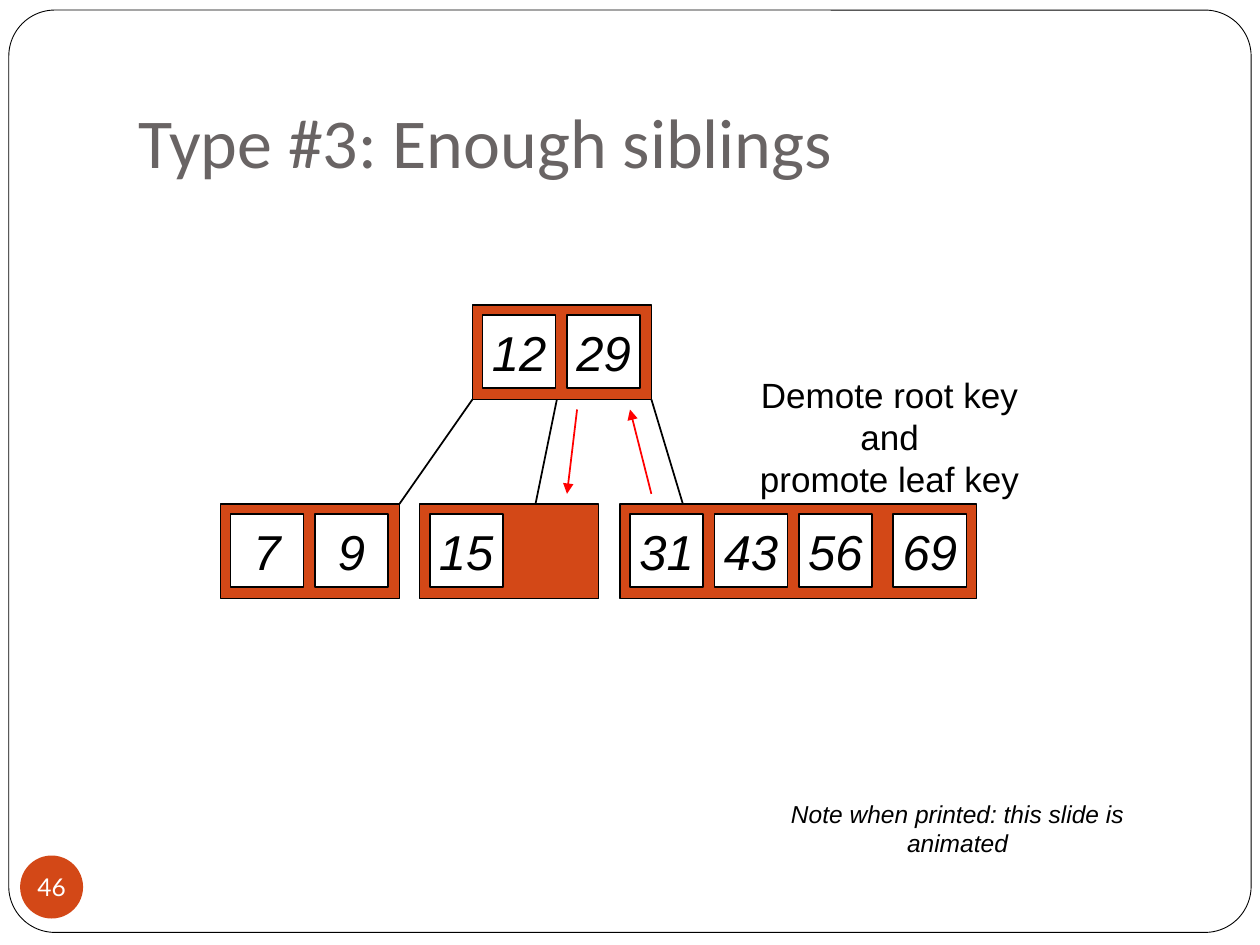
from dataclasses import dataclass

from lxml import etree
from pptx import Presentation
from pptx.dml.color import RGBColor
from pptx.enum import shapes, text
from pptx.oxml import ns
from pptx.util import Inches, Pt

BLACK = RGBColor(0x00, 0x00, 0x00)
WHITE = RGBColor(0xFF, 0xFF, 0xFF)
ORANGE = RGBColor(0xD3, 0x48, 0x17)
RED = RGBColor(0xFF, 0x00, 0x00)
GRAY = RGBColor(0x69, 0x64, 0x64)

NODE_HEIGHT = 0.75
KEY_SIZE = 0.58
PAD = 0.08
KEY_STEP = 0.67


@dataclass
class Style:
    size: float
    font: str = "Arial"
    color: RGBColor = BLACK
    italic: bool = False
    align: text.PP_ALIGN = text.PP_ALIGN.CENTER
    anchor: text.MSO_ANCHOR = text.MSO_ANCHOR.MIDDLE


@dataclass
class Node:
    left: float
    top: float
    width: float
    keys: tuple[str, ...]
    last_gap: float = 0  # extra space before the last key


@dataclass
class Line:
    start: tuple[float, float]
    end: tuple[float, float]
    color: RGBColor = BLACK
    arrow: bool = False


def write(s, content: str, style: Style, wrap: bool = True,
          margins: tuple[float, float, float, float] = (0.1, 0.05, 0.1, 0.05)) -> None:
    tf = s.text_frame
    tf.text = content
    tf.word_wrap = wrap
    tf.vertical_anchor = style.anchor
    tf.margin_left, tf.margin_top, tf.margin_right, tf.margin_bottom = map(Inches, margins)
    for p in tf.paragraphs:
        p.alignment = style.align
        for r in p.runs:
            r.font.size = Pt(style.size)
            r.font.name = style.font
            r.font.italic = style.italic
            r.font.color.rgb = style.color


def add_box(sp, kind, box: tuple[float, float, float, float],
            fill: RGBColor, line_width: float = 1):
    s = sp.add_shape(kind, *map(Inches, box))
    s.shadow.inherit = False
    s.fill.solid()
    s.fill.fore_color.rgb = fill
    if line_width:
        s.line.color.rgb = BLACK
        s.line.width = Pt(line_width)
    else:
        s.line.fill.background()
    return s


def add_label(sp, box: tuple[float, float, float, float], content: str,
              style: Style, margins: tuple[float, float, float, float]) -> None:
    write(sp.add_textbox(*map(Inches, box)), content, style, margins=margins)


def add_node(sp, node: Node) -> None:
    rect = shapes.MSO_SHAPE.RECTANGLE
    add_box(sp, rect, (node.left, node.top, node.width, NODE_HEIGHT), ORANGE)
    for i, key in enumerate(node.keys):
        gap = node.last_gap if i == len(node.keys) - 1 else 0
        left = node.left + PAD + i * KEY_STEP + gap
        s = add_box(sp, rect, (left, node.top + PAD, KEY_SIZE, KEY_SIZE), WHITE)
        write(s, key, Style(28, italic=True), wrap=False)


def add_line(sp, line: Line) -> None:
    c = sp.add_connector(shapes.MSO_CONNECTOR.STRAIGHT,
                         *map(Inches, line.start + line.end))
    c.line.color.rgb = line.color
    c.line.width = Pt(1)
    if line.arrow:
        etree.SubElement(c.line._get_or_add_ln(), ns.qn("a:tailEnd"), type="triangle")
    etree.SubElement(c._element.spPr, ns.qn("a:effectLst"))


NODES = [
    Node(3.75, 2.42, 1.42, ("12", "29")),
    Node(1.75, 4, 1.42, ("7", "9")),
    Node(3.33, 4, 1.42, ("15",)),
    Node(4.92, 4, 2.83, ("31", "43", "56", "69"), last_gap=0.08),
]
LINES = [
    Line((3.75, 3.17), (3.17, 4)),
    Line((4.42, 3.17), (4.25, 4)),
    Line((5.17, 3.17), (5.42, 4)),
    Line((5.17, 3.92), (5, 3.25), RED, arrow=True),
    Line((4.58, 3.25), (4.5, 3.92), RED, arrow=True),
]


def main() -> None:
    prs = Presentation()
    prs.slide_width, prs.slide_height = Inches(10), Inches(7.5)
    sp = prs.slides.add_slide(prs.slide_layouts[6]).shapes

    # Frame and title
    frame = add_box(sp, shapes.MSO_SHAPE.ROUNDED_RECTANGLE,
                    (0.07, 0.08, 9.86, 7.32), WHITE, 0.5)
    frame.adjustments[0] = 0.05
    title = Style(40, "Calibri", GRAY, align=text.PP_ALIGN.LEFT,
                  anchor=text.MSO_ANCHOR.BOTTOM)
    add_label(sp, (1, 0.3, 8.5, 1.25), "Type #3: Enough siblings", title,
              (0.1, 0.05, 0.1, 0.1))

    # Tree
    for node in NODES:
        add_node(sp, node)
    for line in LINES:
        add_line(sp, line)

    # Remarks
    add_label(sp, (5.67, 3.08, 2.78, 0.77), "Demote root key and\npromote leaf key",
              Style(20), (0.25, 0.05, 0.25, 0.05))
    add_label(sp, (5.76, 6.41, 3.68, 0.33), "Note when printed: this slide is animated",
              Style(14, italic=True), (0.25, 0.05, 0.25, 0.05))

    # Slide number
    badge = add_box(sp, shapes.MSO_SHAPE.OVAL, (0.16, 6.79, 0.5, 0.5), ORANGE, 0)
    write(badge, "46", Style(14, "Lato", WHITE), wrap=False, margins=(0, 0, 0, 0))

    prs.save("out.pptx")


if __name__ == "__main__":
    main()
